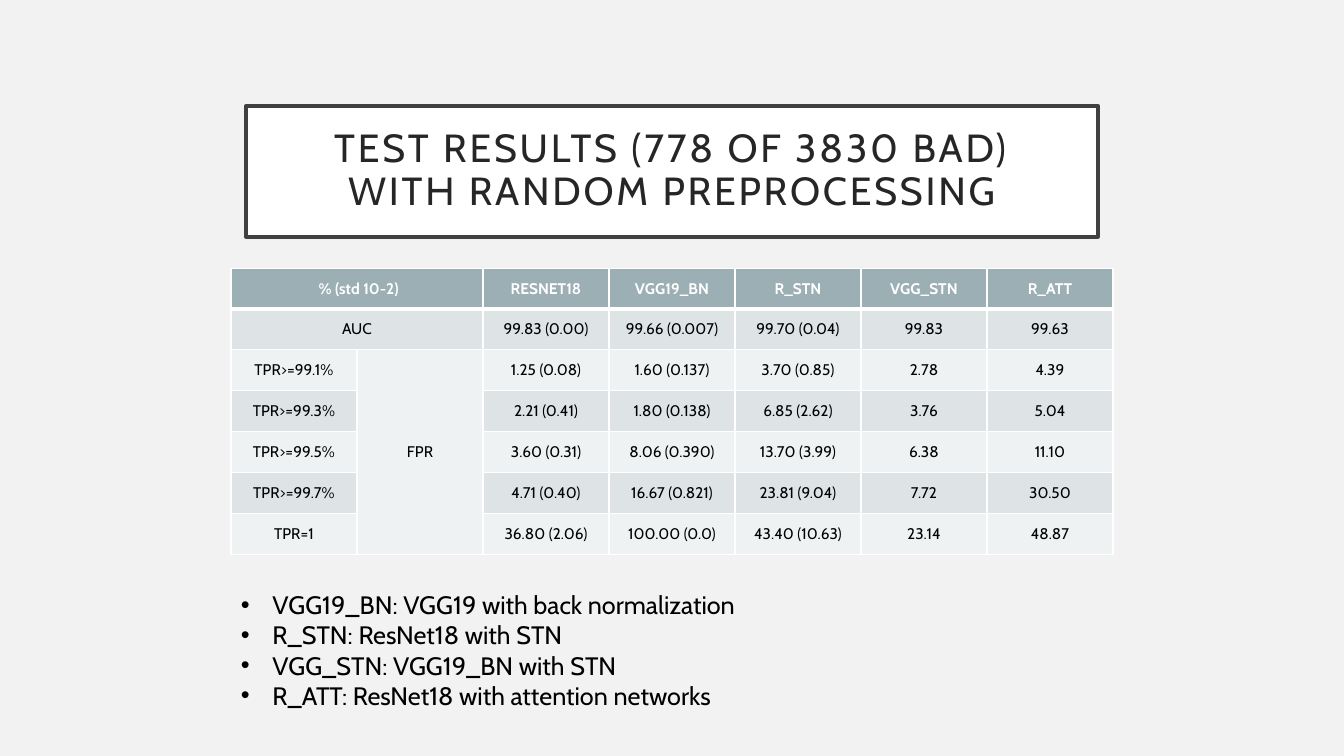
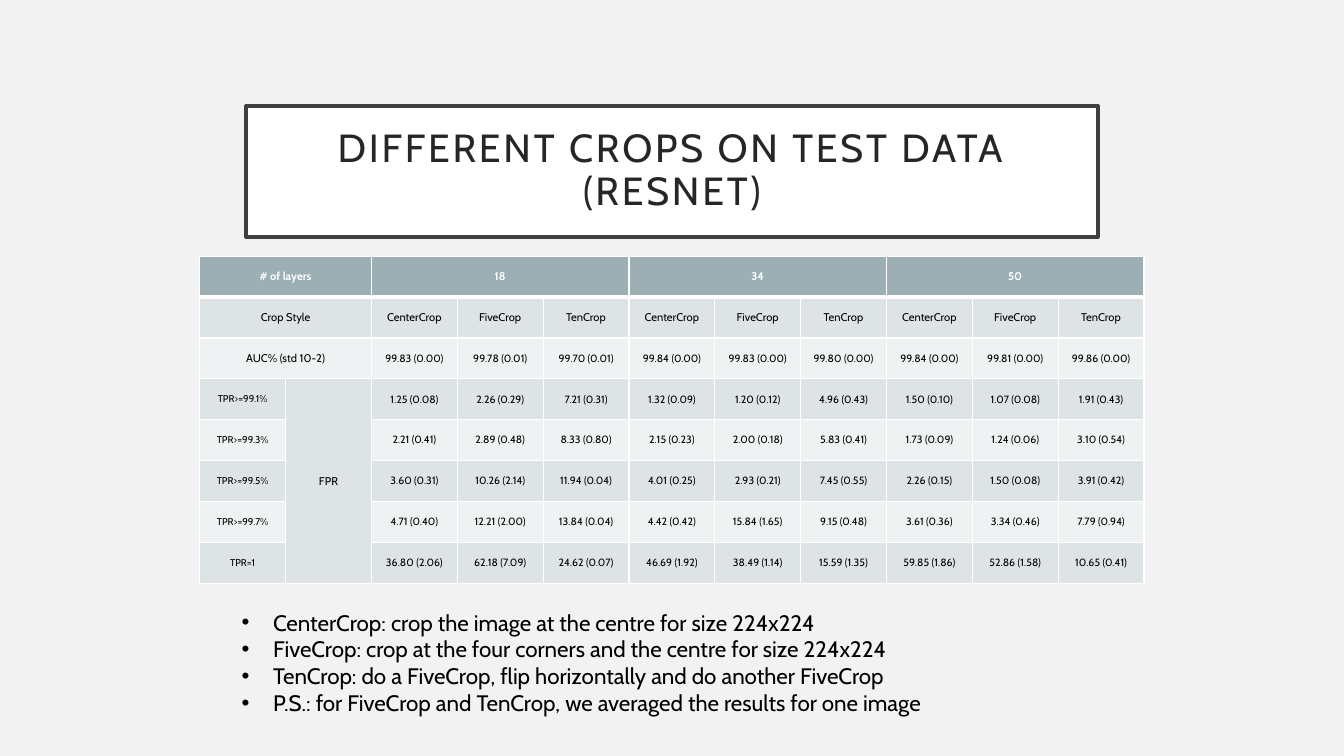
from lxml.etree import SubElement
from pptx import Presentation
from pptx.dml.color import RGBColor
from pptx.enum.text import MSO_ANCHOR as Anchor, MSO_AUTO_SIZE as AutoSize, PP_ALIGN as Align
from pptx.oxml.ns import qn
from pptx.util import Pt

# Shared look
FONT = "Cabin"
BACKGROUND, WHITE, BLACK = "F2F2F2", "FFFFFF", "000000"
TITLE_LINE, TITLE_TEXT = "404040", "262626"
HEADER_FILL, BAND_FILLS = "9BAFB5", ("EFF2F3", "DEE3E5")
PAGE_WIDTH, PAGE_HEIGHT = 960, 540
TITLE_BOX = {"left": 175.7, "top": 75.6, "width": 608.6, "height": 93.6}
TITLE_SIZE, TITLE_INSET = 28, 14.4
ROW_HEIGHT, NOTE_INDENT = 29.2, 22.5

# Content; spans are (first row, first column, last row, last column)
SLIDES = [
    {
        "title": "TEST RESULTS (778 OF 3830 BAD)\vWITH RANDOM PREPROCESSING",
        "rows": [
            (" % (std 10-2)", "", "RESNET18", "VGG19_BN", "R_STN", "VGG_STN", "R_ATT"),
            ("AUC", "", "99.83 (0.00)", "99.66 (0.007)", "99.70 (0.04)", "99.83", "99.63"),
            ("TPR>=99.1%", "FPR", "1.25 (0.08)", "1.60 (0.137)", "3.70 (0.85)", "2.78", "4.39"),
            ("TPR>=99.3%", "", "2.21 (0.41)", "1.80 (0.138)", "6.85 (2.62)", "3.76", "5.04"),
            ("TPR>=99.5%", "", "3.60 (0.31)", "8.06 (0.390)", "13.70 (3.99)", "6.38", "11.10"),
            ("TPR>=99.7%", "", "4.71 (0.40)", "16.67 (0.821)", "23.81 (9.04)", "7.72", "30.50"),
            ("TPR=1", "", "36.80 (2.06)", "100.00 (0.0)", "43.40 (10.63)", "23.14", "48.87"),
        ],
        "spans": [(0, 0, 0, 1), (1, 0, 1, 1), (2, 1, 6, 1)],
        "table_top": 191.5,
        "column_width": 90,
        "sizes": {"label": 11, "limit": 11, "value": 11},
        "notes": [
            "VGG19_BN: VGG19 with back normalization",
            "R_STN: ResNet18 with STN",
            "VGG_STN: VGG19_BN with STN",
            "R_ATT: ResNet18 with attention networks",
        ],
        "notes_box": (165, 417, 630, 94.3),
        "notes_size": 18,
    },
    {
        "title": "DIFFERENT CROPS ON TEST DATA\v(RESNET)",
        "rows": [
            ("# of layers", "", "18", "", "", "34", "", "", "50", "", ""),
            ("Crop Style", "") + ("CenterCrop", "FiveCrop", "TenCrop") * 3,
            ("AUC% (std 10-2)", "", "99.83 (0.00)", "99.78 (0.01)", "99.70 (0.01)", "99.84 (0.00)",
             "99.83 (0.00)", "99.80 (0.00)", "99.84 (0.00)", "99.81 (0.00)", "99.86 (0.00)"),
            ("TPR>=99.1%", "FPR", "1.25 (0.08)", "2.26 (0.29)", "7.21 (0.31)", "1.32 (0.09)",
             "1.20 (0.12)", "4.96 (0.43)", "1.50 (0.10)", "1.07 (0.08)", "1.91 (0.43)"),
            ("TPR>=99.3%", "", "2.21 (0.41)", "2.89 (0.48)", "8.33 (0.80)", "2.15 (0.23)",
             "2.00 (0.18)", "5.83 (0.41)", "1.73 (0.09)", "1.24 (0.06)", "3.10 (0.54)"),
            ("TPR>=99.5%", "", "3.60 (0.31)", "10.26 (2.14)", "11.94 (0.04)", "4.01 (0.25)",
             "2.93 (0.21)", "7.45 (0.55)", "2.26 (0.15)", "1.50 (0.08)", "3.91 (0.42)"),
            ("TPR>=99.7%", "", "4.71 (0.40)", "12.21 (2.00)", "13.84 (0.04)", "4.42 (0.42)",
             "15.84 (1.65)", "9.15 (0.48)", "3.61 (0.36)", "3.34 (0.46)", "7.79 (0.94)"),
            ("TPR=1", "", "36.80 (2.06)", "62.18 (7.09)", "24.62 (0.07)", "46.69 (1.92)",
             "38.49 (1.14)", "15.59 (1.35)", "59.85 (1.86)", "52.86 (1.58)", "10.65 (0.41)"),
        ],
        "spans": [(0, 0, 0, 1), (0, 2, 0, 4), (0, 5, 0, 7), (0, 8, 0, 10),
                  (1, 0, 1, 1), (2, 0, 2, 1), (3, 1, 7, 1)],
        "table_top": 183,
        "column_width": 61.33,
        "sizes": {"label": 8, "limit": 7, "value": 7.5},
        "notes": [
            "CenterCrop: crop the image at the centre for size 224x224",
            "FiveCrop: crop at the four corners and the centre for size 224x224",
            "TenCrop: do a FiveCrop, flip horizontally and do another FiveCrop",
            "P.S.: for FiveCrop and TenCrop, we averaged the results for one image",
        ],
        "notes_box": (165.5, 430.6, 629.3, 85),
        "notes_size": 16,
    },
]


def color(value):
    return RGBColor.from_string(value)


def apply(target, values):
    for name, value in values.items():
        setattr(target, name, value)


def paint(fill, value):
    fill.solid()
    fill.fore_color.rgb = color(value)


def style_text(para, size, value, bold=False):
    for span in para.runs:
        apply(span.font, {"name": FONT, "size": Pt(size), "bold": bold})
        span.font.color.rgb = color(value)


def set_title(page, text):
    box = page.shapes.title
    apply(box, {name: Pt(value) for name, value in TITLE_BOX.items()})
    paint(box.fill, WHITE)
    paint(box.line.fill, TITLE_LINE)
    box.line.width = Pt(2.5)
    frame = box.text_frame
    frame.text = text
    apply(frame, {"word_wrap": True, "auto_size": AutoSize.NONE, "vertical_anchor": Anchor.MIDDLE})
    apply(frame, {f"margin_{side}": Pt(TITLE_INSET) for side in ("left", "top", "right", "bottom")})
    para = frame.paragraphs[0]
    apply(para, {"alignment": Align.CENTER, "line_spacing": 0.9})
    style_text(para, TITLE_SIZE, TITLE_TEXT)
    # Letter spacing, and line breaks as tall as the text
    for span in para.runs:
        span.font._element.set("spc", "200")
    for line_break in para._p.findall(qn("a:br")):
        SubElement(line_break, qn("a:rPr"), sz=str(TITLE_SIZE * 100))


def set_borders(cell, row):
    widths = {"lnL": 1, "lnR": 1, "lnT": 3 if row == 1 else 1, "lnB": 3 if row == 0 else 1}
    for tag, width in widths.items():
        line = SubElement(cell._tc.get_or_add_tcPr(), qn(f"a:{tag}"), w=str(Pt(width)))
        SubElement(SubElement(line, qn("a:solidFill")), qn("a:srgbClr"), val=WHITE)


def text_kind(text, row):
    if text.startswith("TPR"):
        return "limit"
    return "value" if row and text[:1].isdigit() else "label"


def add_results(page, content):
    rows, column_width = content["rows"], content["column_width"]
    width = column_width * len(rows[0])
    frame = page.shapes.add_table(
        len(rows), len(rows[0]), Pt((PAGE_WIDTH - width) / 2), Pt(content["table_top"]),
        Pt(width), Pt(ROW_HEIGHT * len(rows)))
    table = frame.table
    apply(table, {"first_row": False, "horz_banding": False})
    for column in table.columns:
        column.width = Pt(column_width)
    for row, texts in enumerate(rows):
        table.rows[row].height = Pt(ROW_HEIGHT)
        for column, text in enumerate(texts):
            cell = table.cell(row, column)
            set_borders(cell, row)
            paint(cell.fill, BAND_FILLS[row % 2] if row else HEADER_FILL)
            cell.vertical_anchor = Anchor.MIDDLE
            cell.text = text
            para = cell.text_frame.paragraphs[0]
            para.alignment = Align.CENTER
            size = content["sizes"][text_kind(text, row)]
            style_text(para, size, BLACK if row else WHITE, bold=row == 0)
    for top, left, bottom, right in content["spans"]:
        table.cell(top, left).merge(table.cell(bottom, right))


def add_notes(page, content):
    box = page.shapes.add_textbox(*map(Pt, content["notes_box"]))
    frame = box.text_frame
    frame.text = "\n".join(content["notes"])
    apply(frame, {"word_wrap": True, "vertical_anchor": Anchor.MIDDLE})
    for para in frame.paragraphs:
        para.alignment = Align.JUSTIFY
        style_text(para, content["notes_size"], BLACK)
        # Hanging bullet
        props = para._p.get_or_add_pPr()
        props.set("marL", str(Pt(NOTE_INDENT)))
        props.set("indent", str(-Pt(NOTE_INDENT)))
        SubElement(props, qn("a:buFont"), typeface="Arial")
        SubElement(props, qn("a:buChar"), char="•")


def main():
    deck = Presentation()
    apply(deck, {"slide_width": Pt(PAGE_WIDTH), "slide_height": Pt(PAGE_HEIGHT)})
    paint(deck.slide_master.background.fill, BACKGROUND)
    for content in SLIDES:
        page = deck.slides.add_slide(deck.slide_layouts[5])
        set_title(page, content["title"])
        add_results(page, content)
        add_notes(page, content)
    deck.save("out.pptx")


if __name__ == "__main__":
    main()
